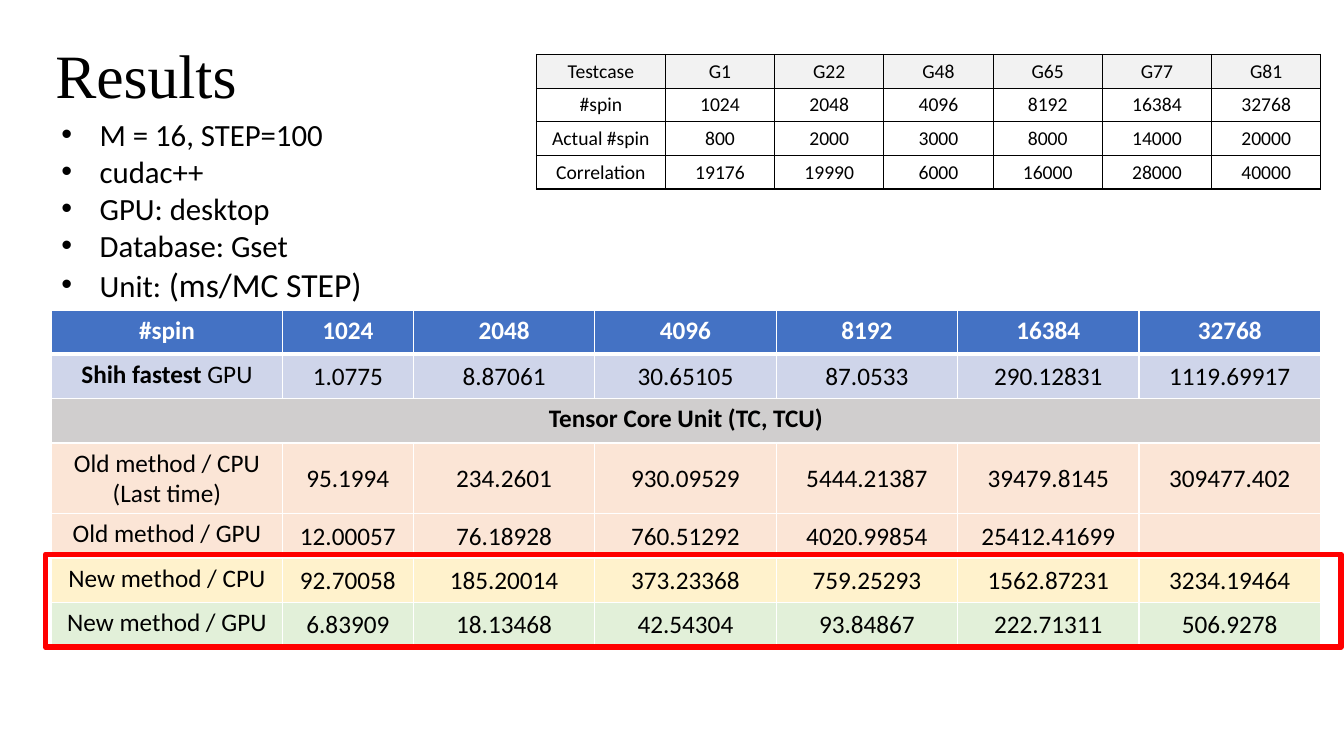
from lxml import etree
from pptx import Presentation, util as u
from pptx.dml.color import RGBColor
from pptx.enum import shapes, text
from pptx.oxml import ns

BLACK = RGBColor(0x00, 0x00, 0x00)
WHITE = RGBColor(0xFF, 0xFF, 0xFF)
RED = RGBColor(0xFF, 0x00, 0x00)
PALE_GREY = RGBColor(0xF2, 0xF2, 0xF2)
GREY = RGBColor(0xD0, 0xCE, 0xCE)
BLUE = RGBColor(0x44, 0x72, 0xC4)
PALE_BLUE = RGBColor(0xCF, 0xD5, 0xEA)
PEACH = RGBColor(0xFB, 0xE5, 0xD6)
YELLOW = RGBColor(0xFF, 0xF2, 0xCC)
GREEN = RGBColor(0xE2, 0xF0, 0xD9)

SPINS = ["1024", "2048", "4096", "8192", "16384", "32768"]
SETTINGS = [
    [("M = 16, STEP=100", 22)],
    [("cudac++", 22)],
    [("GPU: desktop", 22)],
    [("Database: Gset", 22)],
    [("Unit:", 22), (" (ms/MC STEP)", 24)],
]
TESTCASES = [
    ["Testcase", "G1", "G22", "G48", "G65", "G77", "G81"],
    ["#spin", *SPINS],
    ["Actual #spin", "800", "2000", "3000", "8000", "14000", "20000"],
    ["Correlation", "19176", "19990", "6000", "16000", "28000", "40000"],
]
# Fill, label paragraphs as (words, bold) runs, values
TIMINGS = [
    (BLUE, [[("#spin", True)]], SPINS),
    (PALE_BLUE, [[("Shih fastest ", True), ("GPU", False)]],
     ["1.0775", "8.87061", "30.65105", "87.0533", "290.12831", "1119.69917"]),
    (GREY, [[("Tensor Core Unit (TC, TCU)", True)]], []),
    (PEACH, [[("Old method / CPU", False)], [("(Last time)", False)]],
     ["95.1994", "234.2601", "930.09529", "5444.21387", "39479.8145", "309477.402"]),
    (PEACH, [[("Old method / GPU", False)]],
     ["12.00057", "76.18928", "760.51292", "4020.99854", "25412.41699", ""]),
    (YELLOW, [[("New method / CPU", False)]],
     ["92.70058", "185.20014", "373.23368", "759.25293", "1562.87231", "3234.19464"]),
    (GREEN, [[("New method / GPU", False)]],
     ["6.83909", "18.13468", "42.54304", "93.84867", "222.71311", "506.9278"]),
]


class Deck:
    """Places elements on a grid of 100 columns by 100 rows."""

    body_font = "Calibri"
    title_font = "Times New Roman"

    def __init__(self):
        self.deck = Presentation()
        self.deck.slide_width = u.Inches(13.33)
        self.deck.slide_height = u.Inches(7.5)
        self.slide = self.deck.slides.add_slide(self.deck.slide_layouts[6])

    def across(self, columns):
        return round(self.deck.slide_width * columns / 100)

    def down(self, rows):
        return round(self.deck.slide_height * rows / 100)

    def area(self, left, top, width, height):
        return self.across(left), self.down(top), self.across(width), self.down(height)

    def run(self, paragraph, words, size, color=BLACK, bold=False, face=body_font):
        run = paragraph.add_run()
        run.text = words
        font = run.font
        font.name, font.size, font.bold = face, u.Pt(size), bold
        font.color.rgb = color

    def paragraphs(self, frame, count):
        return [frame.paragraphs[0]] + [frame.add_paragraph() for _ in range(count - 1)]

    def title(self, words, *place):
        frame = self.slide.shapes.add_textbox(*self.area(*place)).text_frame
        frame.word_wrap = True
        frame.vertical_anchor = text.MSO_ANCHOR.MIDDLE
        frame.paragraphs[0].line_spacing = 0.9
        self.run(frame.paragraphs[0], words, 44, face=self.title_font)

    def bullets(self, items, *place):
        frame = self.slide.shapes.add_textbox(*self.area(*place)).text_frame
        frame.word_wrap = True
        for paragraph, runs in zip(self.paragraphs(frame, len(items)), items):
            properties = paragraph._p.get_or_add_pPr()
            indent = u.Inches(0.38)
            properties.set("marL", str(indent))
            properties.set("indent", str(-indent))
            etree.SubElement(properties, ns.qn("a:buFont"), typeface="Arial")
            etree.SubElement(properties, ns.qn("a:buChar"), char="•")
            for words, size in runs:
                self.run(paragraph, words, size)

    def table(self, left, top, widths, heights):
        place = self.area(left, top, sum(widths), sum(heights))
        table = self.slide.shapes.add_table(len(heights), len(widths), *place).table
        table.first_row = table.horz_banding = False
        for column, width in zip(table.columns, widths):
            column.width = self.across(width)
        for row, height in zip(table.rows, heights):
            row.height = self.down(height)
        return table

    def borders(self, cell, color, **points):
        properties = cell._tc.get_or_add_tcPr()
        for side in "LRTB":
            line = etree.SubElement(properties, ns.qn(f"a:ln{side}"),
                                    w=str(u.Pt(points.get(side, 1))))
            solid = etree.SubElement(line, ns.qn("a:solidFill"))
            etree.SubElement(solid, ns.qn("a:srgbClr"), val=str(color))

    def cell(self, cell, lines, size, color, fill, middle):
        if fill is None:
            cell.fill.background()
        else:
            cell.fill.solid()
            cell.fill.fore_color.rgb = fill
        cell.vertical_anchor = text.MSO_ANCHOR.MIDDLE if middle else text.MSO_ANCHOR.TOP
        for paragraph, runs in zip(self.paragraphs(cell.text_frame, len(lines)), lines):
            paragraph.alignment = text.PP_ALIGN.CENTER
            for words, bold in runs:
                self.run(paragraph, words, size, color, bold)

    def testcase_table(self, rows, left, top):
        table = self.table(left, top, [9.6] + [8.13] * 6, [4.44] * len(rows))
        for r, row in enumerate(rows):
            for c, words in enumerate(row):
                cell = table.cell(r, c)
                self.borders(cell, BLACK)
                self.cell(cell, [[(words, False)]], 14, BLACK,
                          None if r else PALE_GREY, middle=True)

    def timing_table(self, rows, left, top):
        heights = [5.8] + [9.35 if len(label) > 1 else 5.87 for _, label, _ in rows[1:]]
        table = self.table(left, top, [17.18, 9.75] + [13.5] * 5, heights)
        for r, (fill, label, values) in enumerate(rows):
            header = r == 0
            rules = {0: {"B": 3}, 1: {"T": 3}}.get(r, {})
            for cell in table.rows[r].cells:
                self.borders(cell, WHITE, **rules)
            color = WHITE if header else BLACK
            self.cell(table.cell(r, 0), label, 18, color, fill, middle=False)
            if not values:
                table.cell(r, 0).merge(table.cell(r, len(table.columns) - 1))
            for c, value in enumerate(values, 1):
                cell = table.cell(r, c)
                if not header:
                    cell.margin_left = cell.margin_right = cell.margin_top = u.Inches(0.01)
                    cell.margin_bottom = 0
                line = [(value, header)] if value else []
                self.cell(cell, [line], 18, color, fill, middle=not header)

    def frame(self, color, points, *place):
        frame = self.slide.shapes.add_shape(shapes.MSO_SHAPE.RECTANGLE, *self.area(*place))
        frame.shadow.inherit = False
        frame.fill.background()
        frame.line.color.rgb = color
        frame.line.width = u.Pt(points)


def main():
    results = Deck()
    results.title("Results", 3.38, 0.67, 86.27, 19.33)
    results.bullets(SETTINGS, 3.83, 14.67, 24.53, 26.53)
    results.testcase_table(TESTCASES, 39.91, 7.2)
    results.timing_table(TIMINGS, 3.83, 41.07)
    results.frame(RED, 4, 3.38, 73.33, 96.4, 12.27)
    results.deck.save("out.pptx")


if __name__ == "__main__":
    main()
